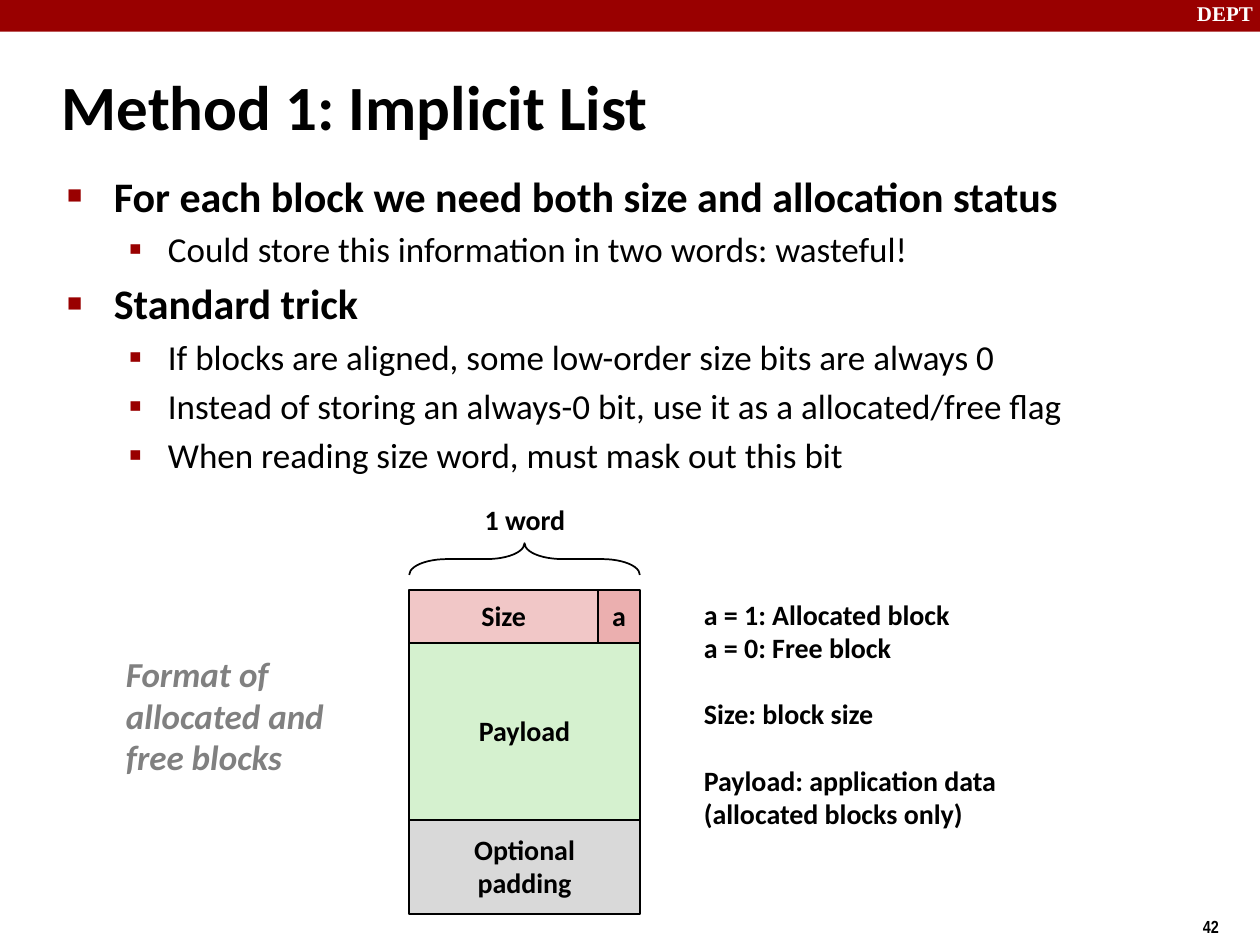
import pptx
import pptx.util
import pptx.dml.color
import pptx.enum.shapes
import pptx.enum.text
import pptx.oxml.ns
import lxml.etree

Cm, Pt = pptx.util.Cm, pptx.util.Pt
RGBColor = pptx.dml.color.RGBColor
MSO_SHAPE = pptx.enum.shapes.MSO_SHAPE
PP_ALIGN = pptx.enum.text.PP_ALIGN
MSO_ANCHOR = pptx.enum.text.MSO_ANCHOR
qn = pptx.oxml.ns.qn

BLACK = RGBColor(0x00, 0x00, 0x00)
WHITE = RGBColor(0xFF, 0xFF, 0xFF)
RED = RGBColor(0x99, 0x00, 0x00)
GRAY = RGBColor(0x80, 0x80, 0x80)
PINK = RGBColor(0xF1, 0xC7, 0xC7)
ROSE = RGBColor(0xEB, 0xAF, 0xAF)
GREEN = RGBColor(0xD5, 0xF1, 0xCF)
SILVER = RGBColor(0xD9, 0xD9, 0xD9)

TITLE = "Method 1: Implicit List"
BULLETS = [
    (0, "For each block we need both size and allocation status"),
    (1, "Could store this information in two words: wasteful!"),
    (0, "Standard trick"),
    (1, "If blocks are aligned, some low-order size bits are always 0"),
    (1, "Instead of storing an always-0 bit, use it as a allocated/free flag"),
    (1, "When reading size word, must mask out this bit"),
]
LEVELS = [
    dict(size=24, bold=True, before=4.8, margin=0.97, hang=0.94, char="■", pct=60),
    dict(size=20, bold=False, before=4, margin=2.06, hang=0.79, char="▪", pct=110),
]
BLOCK_ROWS = [
    (1.07, [(3.81, PINK, ["Size"]), (0.84, ROSE, ["a"])]),
    (3.57, [(4.65, GREEN, ["Payload"])]),
    (1.9, [(4.65, SILVER, ["Optional", "padding"])]),
]
BLOCK_LEFT, BLOCK_TOP, BLOCK_WIDTH = 8.25, 11.89, 4.65
BRACE_TOP, BRACE_HEIGHT = 10.95, 0.64
LABEL = dict(name="Calibri", size=Pt(16), bold=True)
CAPTION = dict(LABEL, size=Pt(20), italic=True)
LINE_SPACING = 0.98
LINE_GAP = 19.1

TEXTS = [
    ((9.52, 10.03, 2.13, 0.94), ["1 word"], LABEL, BLACK),
    ((2.29, 13.08, 4.5, 2.77), ["Format of", "allocated and", "free blocks"], CAPTION, GRAY),
    ((24, 18.36, 1.9, 0.74), ["42"], dict(name="Arial Narrow", size=Pt(10), bold=True), BLACK),
    ((23.88, -0.08, 1.7, 0.76), ["DEPT"], dict(name="Times New Roman", size=Pt(12), bold=True), WHITE),
]
LEGEND_BOX = (13.94, 11.96, 6.4, 5.56)
LEGEND = [
    ["a = 1: Allocated block", "a = 0: Free block"],
    ["Size: block size"],
    ["Payload: application data", "(allocated blocks only)"],
]


def apply(obj, values):
    for key, value in values.items():
        setattr(obj, key, value)


def place(sp, box):
    apply(sp, dict(zip(("left", "top", "width", "height"), map(Cm, box))))


def write(p, text, font, color):
    r = p.add_run()
    r.text = text
    apply(r.font, font)
    r.font.color.rgb = color


def write_lines(tf, lines, font, color, align=PP_ALIGN.LEFT, gaps=()):
    tf.word_wrap = False
    for i, line in enumerate(lines):
        p = tf.add_paragraph() if i else tf.paragraphs[0]
        apply(p, dict(alignment=align, line_spacing=LINE_SPACING))
        if i in gaps:
            p.space_before = Pt(LINE_GAP)
        write(p, line, font, color)


def add_text(s, box, lines, font, color, gaps=()):
    sp = s.shapes.add_textbox(*map(Cm, box))
    write_lines(sp.text_frame, lines, font, color, gaps=gaps)


def add_shape(s, kind, box, fill=None, line=None):
    sp = s.shapes.add_shape(kind, *map(Cm, box))
    sp.shadow.inherit = False
    if fill is None:
        sp.fill.background()
    else:
        sp.fill.solid()
        sp.fill.fore_color.rgb = fill
    if line is None:
        sp.line.fill.background()
    else:
        sp.line.color.rgb = line
        sp.line.width = Pt(1)
    return sp


def set_bullet(p, level):
    pPr = p._p.get_or_add_pPr()
    pPr.set("marL", str(Cm(level["margin"])))
    pPr.set("indent", str(-Cm(level["hang"])))
    clr = lxml.etree.SubElement(pPr, qn("a:buClr"))
    lxml.etree.SubElement(clr, qn("a:srgbClr")).set("val", str(RED))
    lxml.etree.SubElement(pPr, qn("a:buSzPct")).set("val", str(level["pct"] * 1000))
    lxml.etree.SubElement(pPr, qn("a:buChar")).set("char", level["char"])


def fill_placeholders(s):
    title, body = s.shapes.title, s.placeholders[1]
    place(title, (0.99, 1.32, 18.31, 1.6))
    place(body, (1.07, 3.3, 22.94, 5.99))
    for sp, anchor in ((title, MSO_ANCHOR.MIDDLE), (body, MSO_ANCHOR.TOP)):
        apply(sp.text_frame, dict(auto_size=pptx.enum.text.MSO_AUTO_SIZE.NONE,
                                  word_wrap=True, vertical_anchor=anchor))
    p = title.text_frame.paragraphs[0]
    p.alignment = PP_ALIGN.LEFT
    write(p, TITLE, dict(name="Calibri", size=Pt(36), bold=True), BLACK)
    tf = body.text_frame
    for i, (depth, text) in enumerate(BULLETS):
        level = LEVELS[depth]
        p = tf.add_paragraph() if i else tf.paragraphs[0]
        apply(p, dict(level=depth, space_before=Pt(level["before"])))
        set_bullet(p, level)
        write(p, text, dict(name="Calibri", size=Pt(level["size"]), bold=level["bold"]), BLACK)


def draw_block(s):
    top = BLOCK_TOP
    for height, cells in BLOCK_ROWS:
        left = BLOCK_LEFT
        for width, fill, lines in cells:
            sp = add_shape(s, MSO_SHAPE.RECTANGLE, (left, top, width, height), fill, BLACK)
            sp.text_frame.vertical_anchor = MSO_ANCHOR.MIDDLE
            write_lines(sp.text_frame, lines, LABEL, BLACK, PP_ALIGN.CENTER)
            left += width
        top += height
    brace_left = BLOCK_LEFT + (BLOCK_WIDTH - BRACE_HEIGHT) / 2
    brace_top = BRACE_TOP + (BRACE_HEIGHT - BLOCK_WIDTH) / 2
    brace = add_shape(s, MSO_SHAPE.RIGHT_BRACE,
                      (brace_left, brace_top, BRACE_HEIGHT, BLOCK_WIDTH), line=BLACK)
    brace.rotation = 270
    brace.adjustments[0] = 1.19


def main():
    prs = pptx.Presentation()
    apply(prs, dict(slide_width=Cm(25.4), slide_height=Cm(19.05)))
    s = prs.slides.add_slide(prs.slide_layouts[1])
    add_shape(s, MSO_SHAPE.RECTANGLE, (0, 0, 25.4, 0.64), RED)
    fill_placeholders(s)
    draw_block(s)
    for box, lines, font, color in TEXTS:
        add_text(s, box, lines, font, color)
    lines = [line for group in LEGEND for line in group]
    gaps = [sum(map(len, LEGEND[:i])) for i in range(1, len(LEGEND))]
    add_text(s, LEGEND_BOX, lines, LABEL, BLACK, gaps)
    prs.save("out.pptx")


if __name__ == "__main__":
    main()
